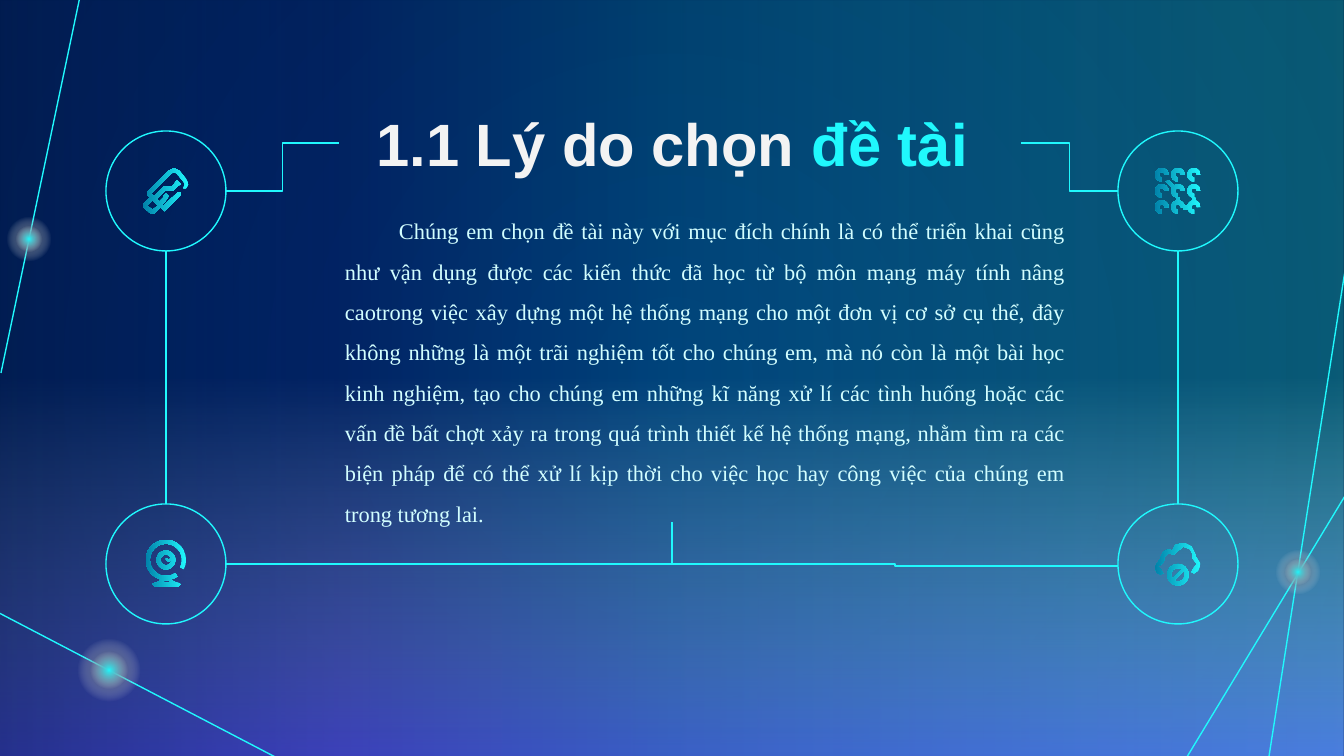
from math import cos, radians, sin

from lxml.etree import SubElement
from pptx import Presentation
from pptx.dml.color import RGBColor as RGB
from pptx.enum.shapes import MSO_CONNECTOR as LINK, MSO_SHAPE as KIND
from pptx.enum.text import MSO_ANCHOR as ANCHOR, PP_ALIGN as ALIGN
from pptx.oxml.ns import qn
from pptx.util import Pt

PX = 914400 / 134.4
STEP = 9144
WIDE, HIGH = 1344, 756
HUES = {
    "cyan": "20F8FD", "teal": "0182AA", "navy": "012060", "dark": "00183A",
    "blue": "022E88", "white": "F3F3F3", "ice": "D2FEFF",
    "sky": "748BFF", "violet": "7659FF",
}
BODY = (
    "Chúng em chọn đề tài này với mục đích chính là có thể triển khai cũng "
    "như vận dụng được các kiến thức đã học từ bộ môn mạng máy tính nâng "
    "caotrong việc xây dựng một hệ thống mạng cho một đơn vị cơ sở cụ thể, đây "
    "không những là một trãi nghiệm tốt cho chúng em, mà nó còn là một bài học "
    "kinh nghiệm, tạo cho chúng em những kĩ năng xử lí các tình huống hoặc các "
    "vấn đề bất chợt xảy ra trong quá trình thiết kế hệ thống mạng, nhằm tìm ra các "
    "biện pháp để có thể xử lí kịp thời cho việc học hay công việc của chúng em "
    "trong tương lai."
)
USB = [
    [(15, -9), (10, -15), (6, -17), (2, -15), (-14, 1), (-14, 3), (-12, 5),
     (-17, 10), (-17, 12), (-11, 17), (-9, 17), (-4, 12), (-2, 14), (-1, 15),
     (11, 3), (11, 1), (9, 1), (-2, 11), (-3, 10), (0, 7), (2, 4), (0, 2),
     (-2, 4), (-2, 5), (-5, 8), (-7, 6), (-1, 0), (4, 0), (5, 0), (8, -3),
     (11, -5), (8, -8), (6, -5), (4, -3), (-2, -3), (-3, -2), (-9, 4),
     (-11, 2), (4, -13), (6, -14), (8, -13), (13, -7), (14, -5), (13, -2),
     (15, -2), (17, -5)],
    [(-10, 14), (-14, 11), (-10, 7), (-6, 11)],
]
CLOUD = [
    (17, 0), (15, 5), (12, 7), (10, 6), (11, 4), (14, 0), (11, -4), (11, -7),
    (9, -11), (4, -13), (-2, -8), (-3, -7), (-7, -8), (-10, -5), (-10, -3),
    (-11, -1), (-15, 2), (-12, 5), (-11, 7), (-13, 8), (-16, 6), (-17, 2),
    (-13, -4), (-13, -5), (-11, -9), (-7, -11), (-4, -10), (-2, -14),
    (4, -16), (10, -13), (13, -7), (13, -6),
]
STAND = [
    [(-4, 12), (-7, 14), (-8, 14), (-10, 15), (-8, 17), (9, 17), (11, 15),
     (9, 14), (8, 14), (4, 12)],
    [(-1, 12), (-2, 14), (3, 14), (2, 12)],
]


def px(*vals):
    return [round(v * PX) for v in vals]


def blend(props, stops, ang=None):
    old = props.find(qn("a:solidFill"))
    grad = props.makeelement(qn("a:gradFill"), {"rotWithShape": "1"})
    group = SubElement(grad, qn("a:gsLst"))
    for pos, hue, alpha in stops:
        stop = SubElement(group, qn("a:gs"), pos=str(pos * 1000))
        clr = SubElement(stop, qn("a:srgbClr"), val=HUES[hue])
        if alpha < 100:
            SubElement(clr, qn("a:alpha"), val=str(alpha * 1000))
    if ang is None:
        ray = SubElement(grad, qn("a:path"), path="circle")
        SubElement(ray, qn("a:fillToRect"), dict.fromkeys("ltrb", "50000"))
    else:
        SubElement(grad, qn("a:lin"), ang=str(ang * 60000), scaled="0")
    props.replace(old, grad)


def paint(shape, stops, ang=None):
    shape.shadow.inherit = False
    shape.line.fill.background()
    shape.fill.solid()
    blend(shape.element.spPr, stops, ang)


def wash(slide, stops, ang):
    rect = slide.shapes.add_shape(KIND.RECTANGLE, 0, 0, *px(WIDE, HIGH))
    paint(rect, stops, ang)


def glow(slide, x, y, size):
    for hue, d in (("dark", size), ("cyan", round(size * 0.59))):
        dot = slide.shapes.add_shape(KIND.OVAL, *px(x - d / 2, y - d / 2, d, d))
        paint(dot, [(0, hue, 100), (50, "white", 0), (100, "white", 0)])


def wire(slide, ends, kind=LINK.STRAIGHT):
    con = slide.shapes.add_connector(kind, *px(*ends))
    con.line.color.rgb = RGB.from_string(HUES["cyan"])
    con.line.width = Pt(0.75)
    SubElement(con.element.spPr, qn("a:effectLst"))
    return con


def ring(slide, x, y):
    oval = slide.shapes.add_shape(KIND.OVAL, *px(x - 60, y - 60, 120, 120))
    oval.shadow.inherit = False
    oval.fill.background()
    oval.line.color.rgb = RGB.from_string(HUES["cyan"])
    oval.line.width = Pt(0.75)


def arc(x, y, r, start=0, end=360):
    turns = [radians(start + (end - start) * i / 24) for i in range(25)]
    return [(x + r * cos(t), y + r * sin(t)) for t in turns]


def band(x, y, r, start, end, wide=3):
    return arc(x, y, r, start, end) + arc(x, y, r - wide, end, start)


def icon(slide, x, y, parts):
    left, top = px(x, y)
    loops = [[(left + round(a * STEP), top + round(b * STEP)) for a, b in part]
             for part in parts]
    pen = slide.shapes.build_freeform(*loops[0][0])
    for i, loop in enumerate(loops):
        if i:
            pen.move_to(*loop[0])
        pen.add_line_segments(loop[1:], close=True)
    paint(pen.convert_to_shape(), [(0, "cyan", 100), (100, "teal", 100)], 180)


def lock():
    grid = (-12, 0, 12)
    dots = [band(x, y, 5, 90, 360) for y in grid for x in grid]
    bars = [[(x - 1, 5), (x + 1, 5), (x + 1, 8), (x - 1, 8)] for x in (0, 12)]
    return dots + bars + [
        [(-9, -7), (-7, -8), (-3, -4), (-4, -2)],
        [(4, 11), (8, 11), (8, 14), (4, 14)],
    ]


def camera():
    return [band(0, -3, 15, 55, 387), arc(0, -3, 7), arc(0, -3, 4),
            band(2, -4, 2, 0, 180, 1)] + STAND


def cloud():
    return [CLOUD, arc(0, 8, 8), arc(0, 8, 5, 145, 305), arc(0, 8, 5, -35, 125)]


def write(slide, box, runs, font, size, align, bold=False, anchor=ANCHOR.TOP,
          lead=None, gap=None, left=0, first=0):
    frame = slide.shapes.add_textbox(*px(*box)).text_frame
    frame.word_wrap = True
    frame.vertical_anchor = anchor
    frame.margin_left = frame.margin_right = px(13)[0]
    frame.margin_top = frame.margin_bottom = px(13)[0]
    para = frame.paragraphs[0]
    para.alignment = align
    para.line_spacing = lead
    para.space_before = para.space_after = gap
    props = para._p.get_or_add_pPr()
    props.set("marL", str(px(left)[0]))
    props.set("indent", str(px(first)[0]))
    for text, hue in runs:
        run = para.add_run()
        run.text = text
        run.font.name, run.font.size, run.font.bold = font, Pt(size), bold
        run.font.color.rgb = RGB.from_string(HUES[hue])


def main():
    deck = Presentation()
    deck.slide_width, deck.slide_height = px(WIDE, HIGH)
    slide = deck.slides.add_slide(deck.slide_layouts[6])
    slide.background.fill.solid()
    blend(next(slide.element.iter(qn("p:bgPr"))),
          [(0, "navy", 100), (100, "dark", 100)])
    wash(slide, [(0, "sky", 0), (50, "white", 0), (100, "violet", 77)], 90)
    wash(slide, [(0, "cyan", 29), (50, "teal", 36), (75, "blue", 35),
                 (100, "navy", 60)], 180)
    for ends in ((281, 760, -1, 613), (1187, 757, 1348, 491),
                 (1268, 763, 1350, 239), (82, -13, 1, 373)):
        wire(slide, ends)
    for spot in ((1298, 572, 62), (109, 670, 89), (29, 239, 62)):
        glow(slide, *spot)

    write(slide, (339, 95, 683, 95),
          [("1.1 Lý do chọn ", "white"), ("đề tài ", "cyan")],
          "Arial", 32, ALIGN.CENTER, bold=True, anchor=ANCHOR.MIDDLE)
    write(slide, (265, 191, 814, 331), [(BODY, "ice")], "Times New Roman", 12,
          ALIGN.JUSTIFY, lead=1.5, gap=Pt(6), left=67, first=54)

    for x, y, parts in ((166, 191, USB), (1178, 191, lock()),
                        (166, 564, camera()), (1178, 564, cloud())):
        ring(slide, x, y)
        icon(slide, x, y, parts)
    for x in (166, 1178):
        wire(slide, (x, 251, x, 504))
    for ends in ((226, 191, 339, 143), (1118, 191, 1021, 143),
                 (1118, 566, 672, 564)):
        wire(slide, ends, LINK.ELBOW)
    bend = wire(slide, (226, 564, 672, 522), LINK.ELBOW)
    bend.element.spPr.find(qn("a:prstGeom")).set("prst", "bentConnector2")
    deck.save("out.pptx")


if __name__ == "__main__":
    main()
